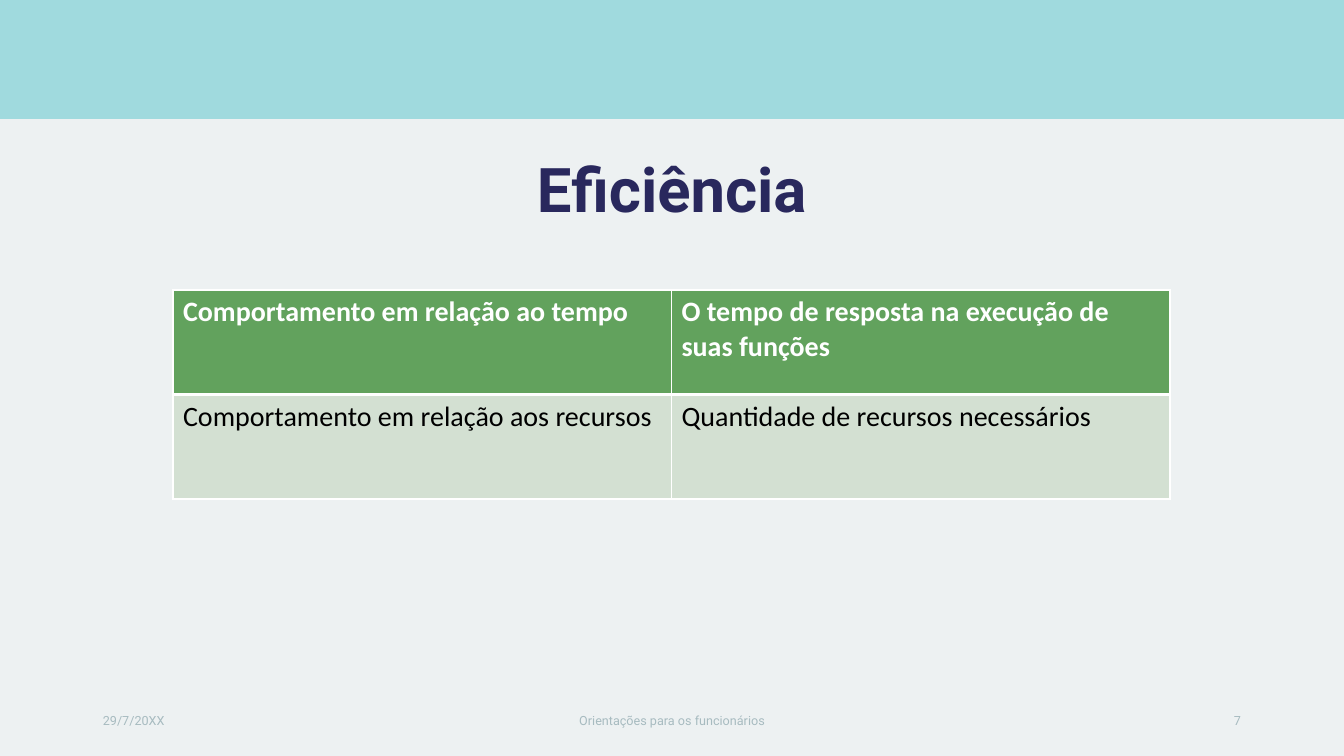
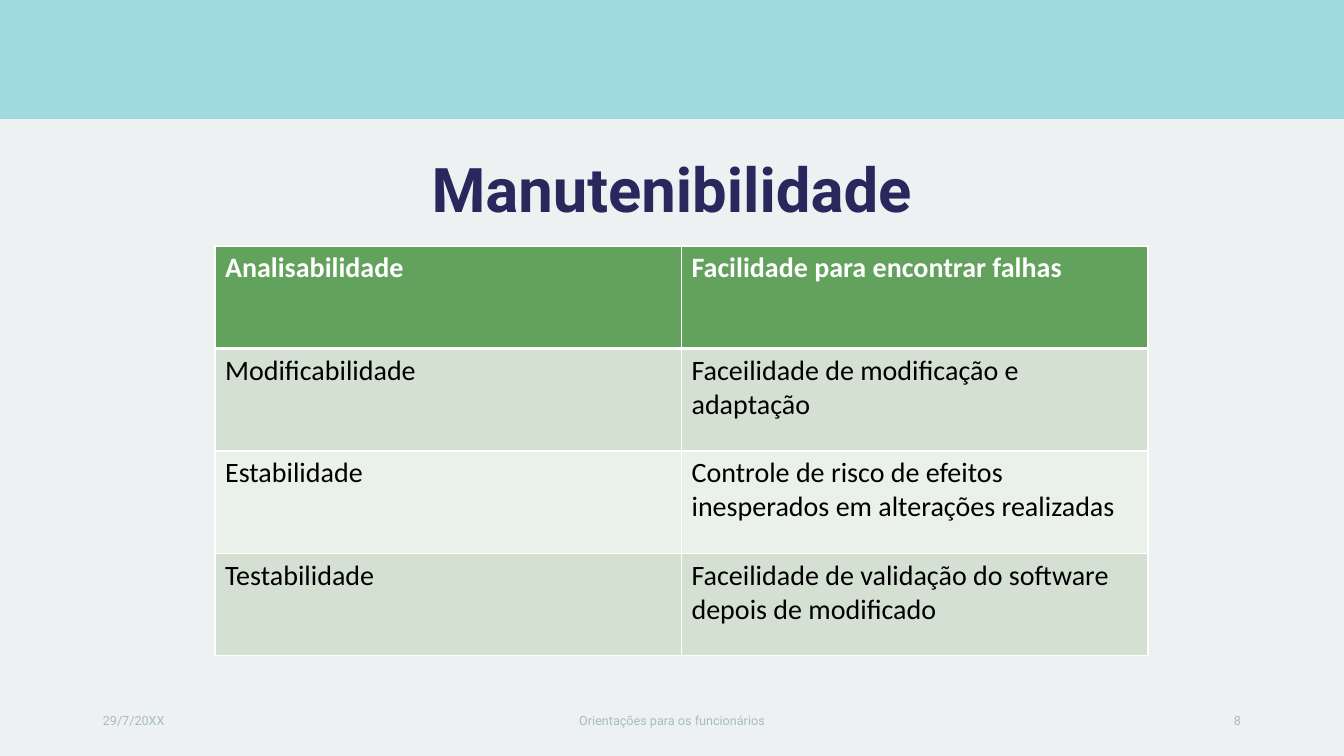
from dataclasses import dataclass

from lxml import etree
from pptx import Presentation
from pptx.dml.color import RGBColor
from pptx.enum import shapes, text
from pptx.oxml.ns import qn
from pptx.util import Emu, Pt

# Shared look
SCALE = 914400 / 100.8
WIDE, HIGH = 1344, 756
PAPER, BAND, NAVY, GREY = "EDF1F2", "A0DADE", "29285D", "A7BBC0"
GREEN, MINT, PALE = "62A25D", "D3E0D2", "EAF0EA"
WHITE, BLACK = "FFFFFF", "000000"
LEFT, MID, RIGHT = text.PP_ALIGN.LEFT, text.PP_ALIGN.CENTER, text.PP_ALIGN.RIGHT
BASE, CENTRE = text.MSO_ANCHOR.BOTTOM, text.MSO_ANCHOR.MIDDLE


@dataclass(frozen=True)
class Box:
    x: int
    y: int
    w: int
    h: int


@dataclass(frozen=True)
class Style:
    size: int
    color: str
    bold: bool = False
    face: str = "Roboto"


@dataclass(frozen=True)
class Page:
    title: str
    number: int
    area: Box
    rows: list[tuple[str, str]]


TITLE = Style(44, NAVY, True)
SMALL = Style(9, GREY)
HEAD = Style(20, WHITE, True, "Calibri")
BODY = Style(20, BLACK, False, "Calibri")


# Helpers
def px(count: float) -> Emu:
    return Emu(round(count * SCALE))


def place(box: Box) -> tuple[Emu, ...]:
    return px(box.x), px(box.y), px(box.w), px(box.h)


def paint(fill, color: str) -> None:
    fill.solid()
    fill.fore_color.rgb = RGBColor.from_string(color)


def write(frame, words: str, style: Style, align=LEFT):
    para = frame.paragraphs[0]
    para.text = words
    para.alignment = align
    font = para.font
    font.name, font.size, font.bold = style.face, Pt(style.size), style.bold
    font.color.rgb = RGBColor.from_string(style.color)
    return para


def label(slide, box: Box, words: str, style: Style, align, anchor):
    frame = slide.shapes.add_textbox(*place(box)).text_frame
    frame.word_wrap = True
    frame.vertical_anchor = anchor
    return write(frame, words, style, align)


def border(cell, base: int) -> None:
    props = cell._tc.get_or_add_tcPr()
    sides = {"lnL": 1, "lnR": 1, "lnT": 1, "lnB": base}
    for spot, (side, width) in enumerate(sides.items()):
        line = etree.Element(qn(f"a:{side}"), w=str(Pt(width)))
        fill = etree.SubElement(line, qn("a:solidFill"))
        etree.SubElement(fill, qn("a:srgbClr"), val=WHITE)
        props.insert(spot, line)


# Slide parts
def frame_page(slide, page: Page) -> None:
    paint(slide.background.fill, PAPER)
    band = slide.shapes.add_shape(
        shapes.MSO_SHAPE.RECTANGLE, *place(Box(0, 0, WIDE, 119)))
    band.shadow.inherit = False
    paint(band.fill, BAND)
    band.line.fill.background()
    title = label(slide, Box(359, 87, 626, 144), page.title, TITLE, MID, BASE)
    title.line_spacing = 0.9
    footer = [
        (93, 302, "29/7/20XX", LEFT),
        (445, 454, "Orientações para os funcionários", MID),
        (949, 302, str(page.number), RIGHT),
    ]
    for x, width, words, align in footer:
        label(slide, Box(x, 701, width, 40), words, SMALL, align, CENTRE)


def add_grid(slide, page: Page) -> None:
    count = len(page.rows)
    grid = slide.shapes.add_table(count, 2, *place(page.area)).table
    for col in grid.columns:
        col.width = px(page.area.w / 2)
    for i, pair in enumerate(page.rows):
        grid.rows[i].height = px(page.area.h / count)
        tint = GREEN if i == 0 else MINT if i % 2 else PALE
        for j, words in enumerate(pair):
            cell = grid.cell(i, j)
            paint(cell.fill, tint)
            border(cell, 1 if i else 3)
            write(cell.text_frame, words, BODY if i else HEAD)


# Content
PAGES = [
    Page("Eficiência", 7, Box(173, 290, 997, 209), [
        ("Comportamento em relação ao tempo",
         "O tempo de resposta na execução de suas funções"),
        ("Comportamento em relação aos recursos",
         "Quantidade de recursos necessários"),
    ]),
    Page("Manutenibilidade", 8, Box(215, 246, 933, 410), [
        ("Analisabilidade", "Facilidade para encontrar falhas"),
        ("Modificabilidade", "Faceilidade de modificação e adaptação"),
        ("Estabilidade",
         "Controle de risco de efeitos inesperados em alterações realizadas"),
        ("Testabilidade",
         "Faceilidade de validação do software depois de modificado"),
    ]),
]

# Build
deck = Presentation()
deck.slide_width, deck.slide_height = px(WIDE), px(HIGH)
for page in PAGES:
    slide = deck.slides.add_slide(deck.slide_layouts[6])
    frame_page(slide, page)
    add_grid(slide, page)
deck.save("out.pptx")
